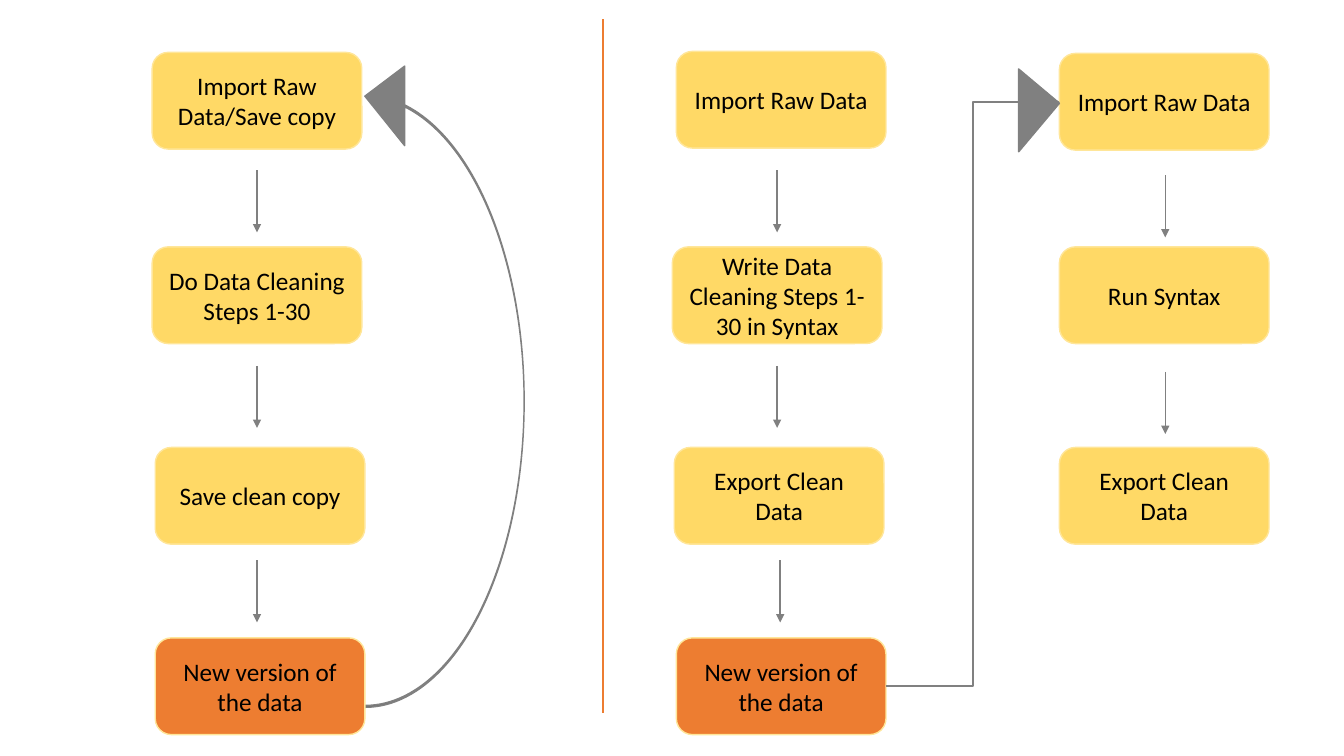
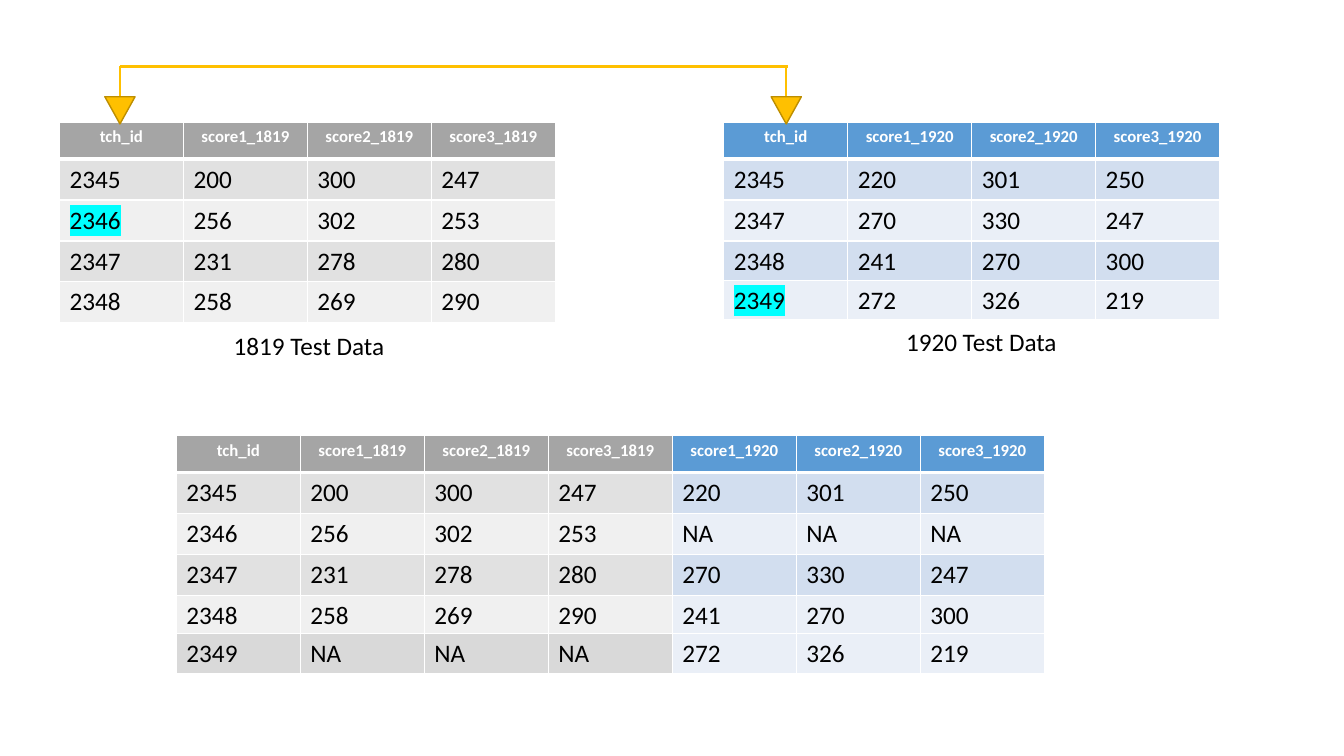
from dataclasses import dataclass
from typing import Optional

from lxml.etree import SubElement
from pptx import Presentation
from pptx.dml.color import RGBColor
from pptx.enum.shapes import MSO_CONNECTOR as Link, MSO_SHAPE as Preset
from pptx.enum.text import MSO_ANCHOR as Anchor, MSO_AUTO_SIZE as AutoSize, PP_ALIGN as Align
from pptx.oxml import parse_xml
from pptx.oxml.ns import nsdecls, qn
from pptx.util import Inches, Pt

# Shared look
SLIDE_WIDTH, SLIDE_HEIGHT = Inches(13.33), Inches(7.5)
GRID_COLS = 40  # square grid cells across the slide
BLACK, WHITE, GRAY = "000000", "FFFFFF", "808080"
ORANGE, YELLOW, PALE_YELLOW = "ED7D31", "FFD966", "FFE699"
GOLD, DARK_GOLD, CYAN = "FFC000", "BD8E00", "00FFFF"
BODY_FORMAT = {"name": "Calibri", "size": Pt(18), "bold": False}
HEADER_FORMAT = {"name": "Calibri", "size": Pt(12), "bold": True}

# Measures in grid cells
BOX_WIDTH, BOX_HEIGHT, ARROW_LENGTH = 6.24, 2.88, 1.85
FIELD_WIDTH, HEADER_HEIGHT, RECORD_HEIGHT = 3.69, 1.11, 1.2


@dataclass(frozen=True)
class Step:
    col: float
    row: float
    label: str
    final: bool = False


@dataclass(frozen=True)
class Workflow:
    steps: tuple[Step, ...]
    arrows: tuple[tuple[float, float], ...]


@dataclass(frozen=True)
class Palette:
    header: str
    bands: tuple[str, str]
    added: str


WORKFLOWS = (
    Workflow(
        (Step(4.53, 1.56, "Import Raw Data/Save copy"),
         Step(4.53, 7.35, "Do Data Cleaning Steps 1-30"),
         Step(4.62, 13.32, "Save clean copy"),
         Step(4.62, 18.99, "New version of the data", True)),
        ((7.65, 5.07), (7.65, 10.89), (7.65, 16.68)),
    ),
    Workflow(
        (Step(20.13, 1.53, "Import Raw Data"),
         Step(20.01, 7.35, "Write Data Cleaning Steps 1-30 in Syntax"),
         Step(20.07, 13.32, "Export Clean Data"),
         Step(20.13, 18.99, "New version of the data", True)),
        ((23.13, 5.07), (23.13, 10.89), (23.22, 16.68)),
    ),
    Workflow(
        (Step(31.53, 1.59, "Import Raw Data"),
         Step(31.53, 7.35, "Run Syntax"),
         Step(31.53, 13.32, "Export Clean Data")),
        ((34.68, 5.22), (34.68, 11.07)),
    ),
)

GRAYS = Palette("A5A5A5", ("E1E1E1", "F0F0F0"), "D9D9D9")
BLUES = Palette("5B9BD5", ("D2DEEF", "EAEFF7"), "EAEFF7")
SCORES_1819 = {
    "2345": ["200", "300", "247"],
    "2346": ["256", "302", "253"],
    "2347": ["231", "278", "280"],
    "2348": ["258", "269", "290"],
}
SCORES_1920 = {
    "2345": ["220", "301", "250"],
    "2347": ["270", "330", "247"],
    "2348": ["241", "270", "300"],
    "2349": ["272", "326", "219"],
}


def cells(count: float) -> int:
    return round(SLIDE_WIDTH * count / GRID_COLS)


def color(hex_code: str) -> RGBColor:
    return RGBColor.from_string(hex_code)


def paint(target, hex_code: str) -> None:
    target.fill.solid()
    target.fill.fore_color.rgb = color(hex_code)


def write(frame, text: str, formats: dict, ink: str = BLACK,
          align: Optional[Align] = None, highlight: Optional[str] = None) -> None:
    paragraph = frame.paragraphs[0]
    paragraph.alignment = align
    run = paragraph.add_run()
    run.text = text
    run.font.color.rgb = color(ink)
    for attribute, value in formats.items():
        setattr(run.font, attribute, value)
    if highlight:
        run.font.fill._xPr.find(qn("a:solidFill")).addnext(parse_xml(
            f'<a:highlight {nsdecls("a")}><a:srgbClr val="{highlight}"/></a:highlight>'))


def add_preset(slide, preset: Preset, box: tuple[float, ...], fill: str, outline: str,
               rotation: float = 0):
    shape = slide.shapes.add_shape(preset, *map(cells, box))
    shape.shadow.inherit = False
    paint(shape, fill)
    shape.line.color.rgb = color(outline)
    shape.line.width = Pt(1)
    shape.rotation = rotation
    return shape


def add_link(slide, start: tuple[float, float], end: tuple[float, float], ink: str,
             width: float = 1.5, arrow: bool = False, kind: Link = Link.STRAIGHT):
    link = slide.shapes.add_connector(kind, *map(cells, (*start, *end)))
    link.line.color.rgb = color(ink)
    link.line.width = Pt(width)
    if arrow:
        SubElement(link.line._get_or_add_ln(), qn("a:tailEnd"), type="triangle")
    SubElement(link._element.spPr, qn("a:effectLst"))
    return link


def add_step(slide, step: Step):
    box = add_preset(slide, Preset.ROUNDED_RECTANGLE,
                     (step.col, step.row, BOX_WIDTH, BOX_HEIGHT),
                     ORANGE if step.final else YELLOW, PALE_YELLOW)
    box.text_frame.word_wrap = True
    box.text_frame.vertical_anchor = Anchor.MIDDLE
    write(box.text_frame, step.label, BODY_FORMAT, align=Align.CENTER)
    return box


def add_workflow(slide, workflow: Workflow) -> list:
    for col, row in workflow.arrows:
        add_link(slide, (col, row), (col, row + ARROW_LENGTH), GRAY, 1, arrow=True)
    return [add_step(slide, step) for step in workflow.steps]


def set_borders(cell, bottom: float) -> None:
    widths = {"lnL": 1, "lnR": 1, "lnT": 1, "lnB": bottom}
    properties = cell._tc.get_or_add_tcPr()
    for position, (side, width) in enumerate(widths.items()):
        properties.insert(position, parse_xml(
            f'<a:{side} {nsdecls("a")} w="{Pt(width)}"><a:solidFill>'
            f'<a:srgbClr val="{WHITE}"/></a:solidFill></a:{side}>'))


def add_records(slide, col: float, row: float, records: list[list[str]], palette: Palette,
                header: Optional[list[str]] = None, unmatched: str = "") -> None:
    """Draw a table; without a header it is a row added below another table."""
    rows = ([header] if header else []) + records
    heights = ([HEADER_HEIGHT] if header else []) + [RECORD_HEIGHT] * len(records)
    table = slide.shapes.add_table(
        len(rows), len(rows[0]), cells(col), cells(row),
        cells(FIELD_WIDTH * len(rows[0])), cells(sum(heights))).table
    table.first_row = table.horz_banding = False
    for field in table.columns:
        field.width = cells(FIELD_WIDTH)
    for index, (values, height) in enumerate(zip(rows, heights)):
        table.rows[index].height = cells(height)
        is_header = bool(header) and index == 0
        if is_header:
            fill = palette.header
        else:
            fill = palette.bands[(index - 1) % 2] if header else palette.added
        for cell, value in zip(table.rows[index].cells, values):
            paint(cell, fill)
            set_borders(cell, 3 if is_header or not header else 1)
            if is_header:
                write(cell.text_frame, value, HEADER_FORMAT, WHITE, Align.CENTER)
            else:
                write(cell.text_frame, value, BODY_FORMAT,
                      highlight=CYAN if value == unmatched else None)


def add_caption(slide, col: float, row: float, text: str) -> None:
    caption = slide.shapes.add_textbox(*map(cells, (col, row, 5.4, 1.2)))
    caption.text_frame.word_wrap = True
    caption.text_frame.auto_size = AutoSize.SHAPE_TO_FIT_TEXT
    write(caption.text_frame, text, BODY_FORMAT)


def score_names(year: str) -> list[str]:
    return [f"score{number}_{year}" for number in (1, 2, 3)]


def build_workflows(slide) -> None:
    # Divider between manual and syntax cleaning
    add_link(slide, (17.94, 0.57), (17.94, 21.24), ORANGE)

    # Loop back to the first manual step
    loop = add_preset(slide, Preset.CURVED_LEFT_ARROW, (10.86, 1.68, 4.74, 19.38), GRAY, GRAY)
    loop._element.spPr.xfrm.set("flipV", "1")
    for position, share in enumerate((0.012, 0.5, 0.25)):
        loop.adjustments[position] = share

    _, syntax_boxes, rerun_boxes = [add_workflow(slide, flow) for flow in WORKFLOWS]

    # New data goes straight to the syntax rerun
    rerun = add_link(slide, (26.37, 20.43), (31.53, 3.03), GRAY, arrow=True, kind=Link.ELBOW)
    rerun.begin_connect(syntax_boxes[-1], 3)
    rerun.end_connect(rerun_boxes[0], 1)
    add_preset(slide, Preset.RIGHT_TRIANGLE, (29.52, 2.34, 1.59, 1.89), GRAY, GRAY, 220)


def build_merge(slide) -> None:
    left_1819, left_1920, left_merged = 1.77, 21.54, 5.25
    top, added_top, merged_top, merged_added_top = 3.63, 8.34, 12.96, 18.87
    header_1819 = ["tch_id", *score_names("1819")]
    header_1920 = ["tch_id", *score_names("1920")]

    # Yearly tables
    records_1819 = [[key, *scores] for key, scores in SCORES_1819.items()]
    records_1920 = [[key, *scores] for key, scores in SCORES_1920.items()]
    add_records(slide, left_1819, top, records_1819, GRAYS, header_1819, "2346")
    add_records(slide, left_1920, top, records_1920[:-1], BLUES, header_1920)
    add_records(slide, left_1920, added_top, records_1920[-1:], BLUES, unmatched="2349")

    # Merged table: every id, with NA where a year has no scores
    missing = ["NA"] * 3
    ids = sorted({*SCORES_1819, *SCORES_1920})
    merged_1819 = [[key, *SCORES_1819.get(key, missing)] for key in ids]
    merged_1920 = [SCORES_1920.get(key, missing) for key in ids]
    right_half = left_merged + FIELD_WIDTH * len(header_1819)
    for col, records, palette, header in (
        (left_merged, merged_1819, GRAYS, header_1819),
        (right_half, merged_1920, BLUES, score_names("1920")),
    ):
        add_records(slide, col, merged_top, records[:-1], palette, header)
        add_records(slide, col, merged_added_top, records[-1:], palette)

    # Bracket joining the two id fields
    bracket_top, id_cols = 1.98, (3.57, 23.4)
    for col in id_cols:
        add_link(slide, (col, top), (col, bracket_top), GOLD)
    add_link(slide, (id_cols[0], bracket_top), (id_cols[1] + 0.06, bracket_top), GOLD)
    for col in id_cols:
        add_preset(slide, Preset.ISOSCELES_TRIANGLE, (col - 0.45, 2.88, 0.9, 0.81),
                   GOLD, DARK_GOLD, 180)

    # Captions
    add_caption(slide, 6.66, 9.69, "1819 Test Data")
    add_caption(slide, 26.67, 9.57, "1920 Test Data")


def main() -> None:
    deck = Presentation()
    deck.slide_width, deck.slide_height = SLIDE_WIDTH, SLIDE_HEIGHT
    blank = deck.slide_layouts[6]
    for build in (build_workflows, build_merge):
        build(deck.slides.add_slide(blank))
    deck.save("out.pptx")


if __name__ == "__main__":
    main()
